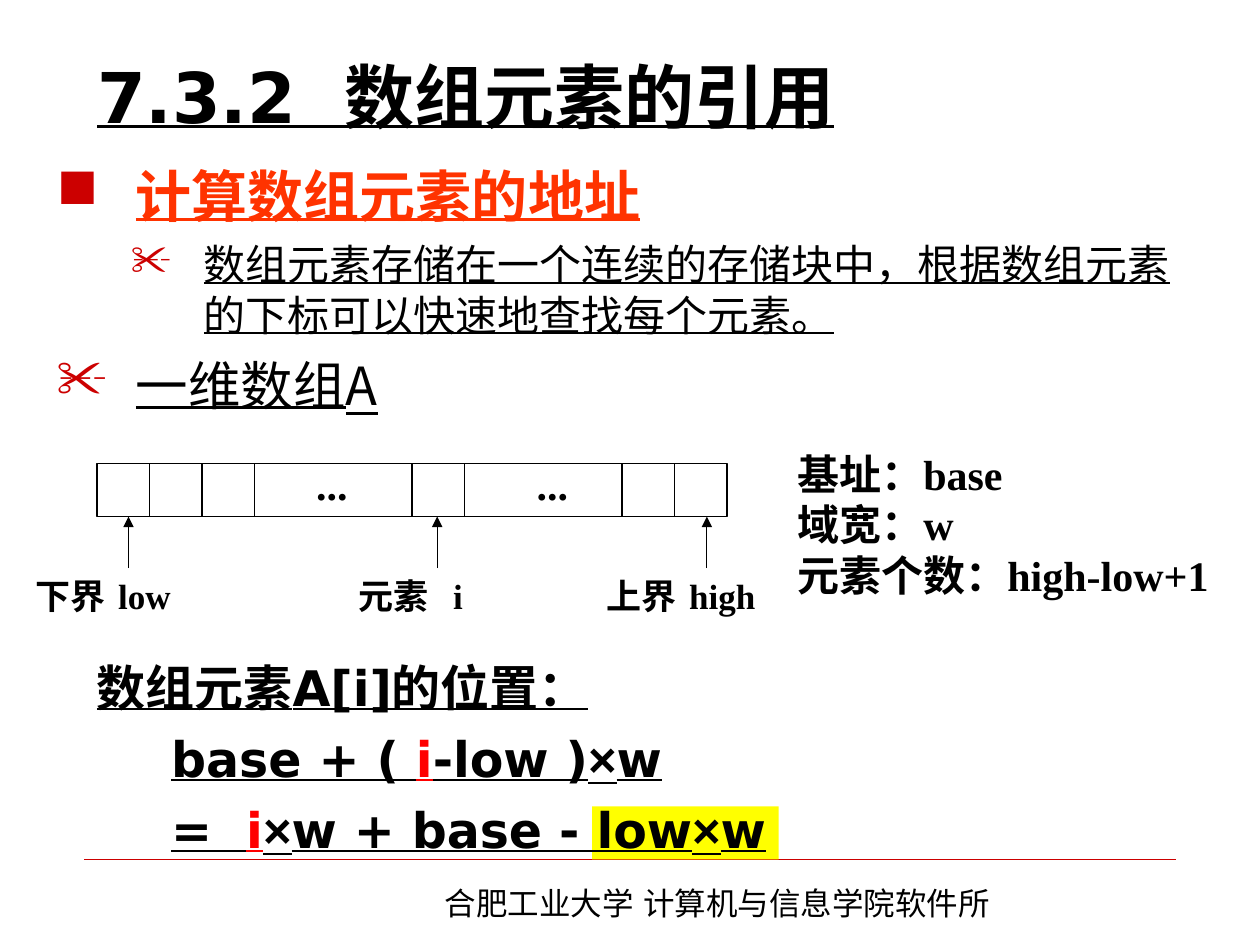
from lxml import etree
from pptx import Presentation
from pptx.dml.color import RGBColor
from pptx.enum import lang, shapes, text
from pptx.oxml import ns
from pptx.util import Inches, Pt

BLACK = RGBColor(0x00, 0x00, 0x00)
WHITE = RGBColor(0xFF, 0xFF, 0xFF)
YELLOW = RGBColor(0xFF, 0xFF, 0x00)
CRIMSON = RGBColor(0xCC, 0x00, 0x00)
ORANGE = RGBColor(0xFF, 0x33, 0x00)
RED = RGBColor(0xFF, 0x00, 0x00)
SANS, CJK, SERIF, ARIAL = "DejaVu Sans", "Noto Sans CJK SC", "Times New Roman", "Arial"

ROW_LEFT, ROW_TOP, ROW_WIDTH, ROW_HEIGHT = 0.77, 3.68, 5, 0.42
CELL = ROW_WIDTH / 12


def add_run(p, words, size, font, color=BLACK, bold=True, underline=False):
    r = p.add_run()
    r.text = words
    f = r.font
    f.size, f.name, f.bold, f.underline = Pt(size), font, bold, underline
    f.color.rgb = color
    f.language_id = lang.MSO_LANGUAGE_ID.SIMPLIFIED_CHINESE
    ea = etree.Element(ns.qn("a:ea"), typeface=SANS)
    r._r.rPr.find(ns.qn("a:latin")).addnext(ea)


def format_frame(tf, anchor, wrap=True):
    tf.word_wrap = wrap
    tf.auto_size = text.MSO_AUTO_SIZE.NONE
    tf.vertical_anchor = anchor


def add_box(s, left, top, width, height, anchor=text.MSO_ANCHOR.TOP, wrap=True):
    sp = s.shapes.add_textbox(Inches(left), Inches(top), Inches(width), Inches(height))
    format_frame(sp.text_frame, anchor, wrap)
    return sp.text_frame


def next_paragraph(tf, before=0):
    if not tf.paragraphs[0].runs:
        return tf.paragraphs[0]
    p = tf.add_paragraph()
    p.space_before = Pt(before)
    return p


def set_indent(p, margin, first, level=0):
    p.level = level
    pPr = p._p.get_or_add_pPr()
    pPr.set("marL", str(Inches(margin)))
    pPr.set("indent", str(Inches(first)))
    return pPr


def set_bullet(p, char, margin, first, level):
    pPr = set_indent(p, margin, first, level)
    clr = etree.SubElement(pPr, ns.qn("a:buClr"))
    etree.SubElement(clr, ns.qn("a:srgbClr"), val=str(CRIMSON))
    etree.SubElement(pPr, ns.qn("a:buChar"), char=char)


def add_label(s, words, size, left, top, width, height):
    tf = add_box(s, left, top, width, height, text.MSO_ANCHOR.MIDDLE, False)
    p = tf.paragraphs[0]
    p.alignment = text.PP_ALIGN.CENTER
    add_run(p, words, size, SERIF)


def add_line(s, x1, y1, x2, y2, color=BLACK, width=0.75, arrow=False):
    c = s.shapes.add_connector(shapes.MSO_CONNECTOR.STRAIGHT,
                               Inches(x1), Inches(y1), Inches(x2), Inches(y2))
    c.line.color.rgb = color
    c.line.width = Pt(width)
    if arrow:
        etree.SubElement(c.line._get_or_add_ln(), ns.qn("a:tailEnd"), type="triangle")
    etree.SubElement(c._element.spPr, ns.qn("a:effectLst"))
    return c


def add_rect(s, left, top, width, height, fill, outlined=False):
    sp = s.shapes.add_shape(shapes.MSO_SHAPE.RECTANGLE, Inches(left), Inches(top),
                            Inches(width), Inches(height))
    sp.shadow.inherit = False
    sp.fill.solid()
    sp.fill.fore_color.rgb = fill
    if outlined:
        sp.line.color.rgb = BLACK
        sp.line.width = Pt(0.75)
    else:
        sp.line.fill.background()
    return sp


def add_title(s):
    sp = s.shapes.title
    sp.left, sp.top, sp.width, sp.height = map(Inches, (0.67, 0.21, 8.75, 1.1))
    format_frame(sp.text_frame, text.MSO_ANCHOR.MIDDLE)
    p = sp.text_frame.paragraphs[0]
    p.alignment = text.PP_ALIGN.LEFT
    add_run(p, "7.3.2  数组元素的引用", 40, SANS, underline=True)


def add_footer(s):
    add_line(s, 0.67, 6.82, 9.33, 6.82, CRIMSON, 0.25)
    tf = add_box(s, 3.43, 6.97, 5.04, 0.4)
    add_run(tf.paragraphs[0], "合肥工业大学 计算机与信息学院软件所", 18, CJK, bold=False)


def add_body(s):
    tf = add_box(s, 0.35, 1.23, 9.12, 2.08)
    for words, char, level, margin, first, before, size, color, bold in (
            ("计算数组元素的地址", "■", 0, 0.63, -0.63, 0, 32, ORANGE, True),
            ("数组元素存储在一个连续的存储块中，根据数组元素的下标可以快速地查找每个元素。",
             "✂", 1, 1.17, -0.58, 6, 24, BLACK, False),
            ("一维数组A", "✂", 0, 0.63, -0.63, 7.5, 30, BLACK, False)):
        p = next_paragraph(tf, before)
        set_bullet(p, char, margin, first, level)
        add_run(p, words, size, CJK, color, bold, True)


def add_array(s):
    bottom = ROW_TOP + ROW_HEIGHT
    row = add_rect(s, ROW_LEFT, ROW_TOP, ROW_WIDTH, ROW_HEIGHT, WHITE, True)
    for n in (1, 2, 3, 6, 7, 10, 11):
        x = ROW_LEFT + n * CELL
        c = add_line(s, x, ROW_TOP, x, bottom)
        if n == 6:
            c.begin_connect(row, 0)
            c.end_connect(row, 2)
    for left in (2.41, 4.16):
        add_label(s, "...", 24, left, 3.59, 0.45, 0.5)
    for words, x, left, width in (("下界 low", 1.02, 0.17, 1.3),
                                  ("元素  i", 3.47, 2.75, 1.02),
                                  ("上界 high", 5.61, 4.7, 1.41)):
        add_line(s, x, 4.51, x, bottom, arrow=True)
        add_label(s, words, 20, left, 4.51, width, 0.44)


def add_parameters(s):
    tf = add_box(s, 6.23, 3.51, 3.54, 1.3, text.MSO_ANCHOR.MIDDLE, False)
    for words in ("基址：base", "域宽：w", "元素个数：high-low+1"):
        add_run(next_paragraph(tf), words, 24, SERIF)


def add_formula(s):
    add_rect(s, 4.7, 6.4, 1.48, 0.42, YELLOW)
    tf = add_box(s, 0.67, 5.17, 9.12, 1.58)
    for level, parts in ((0, ("数组元素A[i]的位置：",)),
                         (1, ("base + ( ", "i", "-low )", "×", "w")),
                         (1, ("=  ", "i", "×", "w + base - low", "×", "w"))):
        p = next_paragraph(tf, 7)
        set_indent(p, *((0.9, -0.31) if level else (0.38, -0.38)), level)
        for part in parts:
            add_run(p, part, 28, ARIAL if part == "×" else SANS,
                    RED if part == "i" else BLACK, underline=True)


def main():
    prs = Presentation()
    prs.slide_width, prs.slide_height = Inches(10), Inches(7.5)
    s = prs.slides.add_slide(prs.slide_layouts[5])
    add_footer(s)
    add_body(s)
    add_array(s)
    add_parameters(s)
    add_formula(s)
    add_title(s)
    prs.save("out.pptx")


if __name__ == "__main__":
    main()
